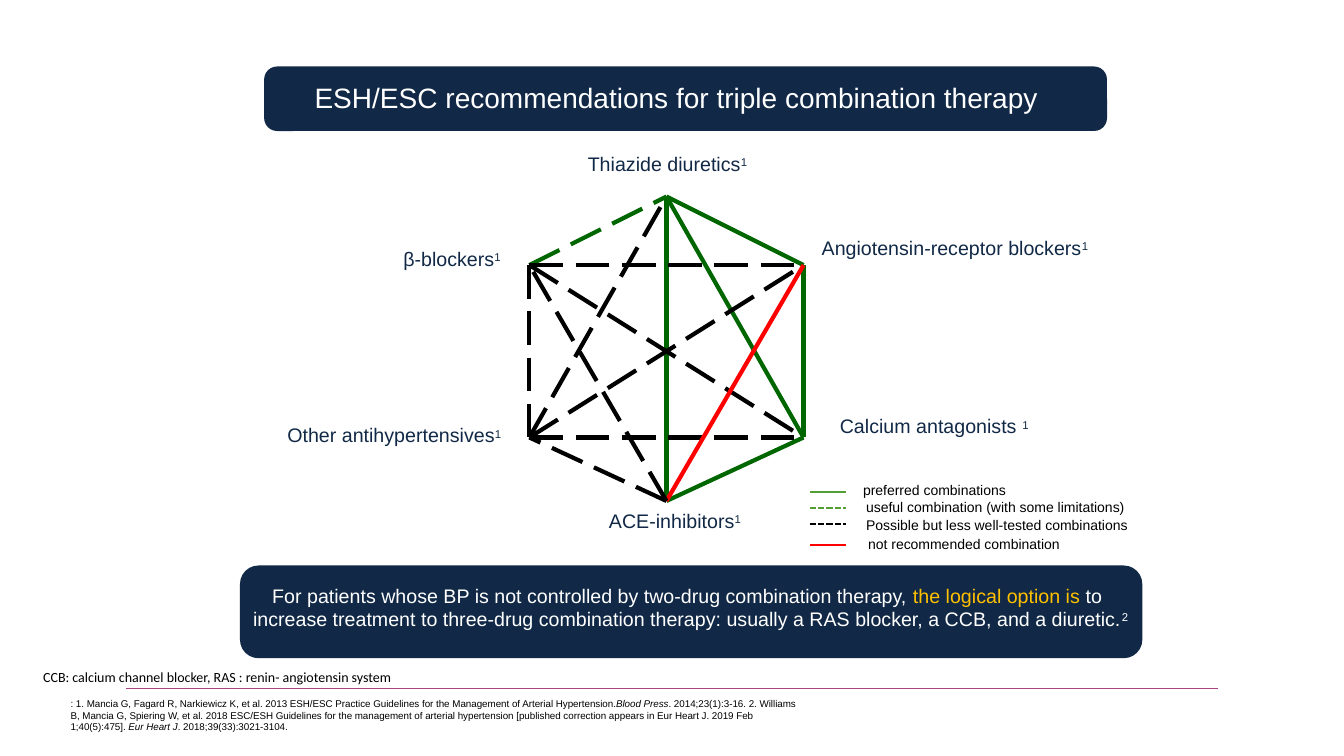
from lxml.etree import SubElement
from pptx import Presentation
from pptx.dml.color import RGBColor
from pptx.enum.dml import MSO_LINE
from pptx.enum.shapes import MSO_CONNECTOR, MSO_SHAPE
from pptx.enum.text import MSO_ANCHOR, MSO_AUTO_SIZE, PP_ALIGN
from pptx.oxml.ns import qn
from pptx.util import Inches, Pt

NAVY = RGBColor(0x11, 0x29, 0x46)
WHITE = RGBColor(0xFF, 0xFF, 0xFF)
BLACK = RGBColor(0x00, 0x00, 0x00)
AMBER = RGBColor(0xFF, 0xC0, 0x00)
GREEN = RGBColor(0x00, 0x66, 0x00)
LEGEND_GREEN = RGBColor(0x54, 0x9E, 0x38)
RED = RGBColor(0xFF, 0x00, 0x00)
MAGENTA = RGBColor(0xA9, 0x45, 0x83)
SUPERSCRIPT = {"baseline": 25000}
ITALIC = {"italic": True}


class TherapySlide:
    """Holds the text style and the current slide, and draws each kind of element."""

    def __init__(self, presentation):
        self.style = {"name": "Arial", "size": Pt(14), "color": NAVY}
        self.slide = presentation.slides.add_slide(presentation.slide_layouts[5])
        self.shapes = self.slide.shapes

    def panel(self, left, top, width, height):
        shape = self.shapes.add_shape(MSO_SHAPE.ROUNDED_RECTANGLE, Inches(left),
                                      Inches(top), Inches(width), Inches(height))
        shape.adjustments[0] = 0.2
        shape.shadow.inherit = False
        shape.fill.solid()
        shape.fill.fore_color.rgb = NAVY
        shape.line.fill.background()

    def line(self, start, end, color, width, dash=None):
        connector = self.shapes.add_connector(
            MSO_CONNECTOR.STRAIGHT, *[Inches(value) for value in (*start, *end)])
        connector.line.color.rgb = color
        connector.line.width = Pt(width)
        if dash:
            connector.line.dash_style = dash
        SubElement(connector._element.spPr, qn("a:effectLst"))

    def format_run(self, run, formats):
        for name, value in {**self.style, **formats}.items():
            if name == "color":
                run.font.color.rgb = value
            elif name == "baseline":
                run._r.get_or_add_rPr().set("baseline", str(value))
            else:
                setattr(run.font, name, value)

    def fill_text(self, shape, box, paragraphs, margins=(0, 0.01, 0, 0), **formats):
        frame = shape.text_frame
        geometry = zip(("left", "top", "width", "height"), box)
        sides = zip(("margin_left", "margin_top", "margin_right", "margin_bottom"), margins)
        for target, pairs in ((shape, geometry), (frame, sides)):
            for name, value in pairs:
                setattr(target, name, Inches(value))
        frame.word_wrap = True
        frame.auto_size = MSO_AUTO_SIZE.NONE
        frame.vertical_anchor = MSO_ANCHOR.TOP
        for index, (layout, runs) in enumerate(paragraphs):
            paragraph = frame.add_paragraph() if index else frame.paragraphs[0]
            values = {"alignment": PP_ALIGN.LEFT, "line_spacing": 1.0,
                      "space_before": Pt(0), **layout}
            margin, indent = values.pop("indents", (0, 0))
            properties = paragraph._p.get_or_add_pPr()
            properties.set("marL", str(Inches(margin)))
            properties.set("indent", str(Inches(indent)))
            for name, value in values.items():
                setattr(paragraph, name, value)
            for text, run_formats in runs:
                run = paragraph.add_run()
                run.text = text
                self.format_run(run, {**formats, **run_formats})

    def text(self, box, paragraphs, **options):
        shape = self.shapes.add_textbox(*[Inches(value) for value in box])
        self.fill_text(shape, box, paragraphs, **options)

    def title(self, box, text):
        shape = self.shapes.title
        self.shapes._spTree.append(shape._element)
        self.fill_text(shape, box, [({"indents": (0.01, 0)}, [(text, {})])],
                       size=Pt(20), color=WHITE)


def draw_hexagon(page):
    thiazide, angiotensin, calcium = (6.61, 1.95), (7.97, 2.63), (7.97, 4.34)
    ace, other, beta = (6.61, 4.97), (5.25, 4.34), (5.25, 2.63)
    dash = MSO_LINE.LONG_DASH
    links = [
        (GREEN, dash, [(beta, thiazide)]),
        (BLACK, dash, [(beta, other), (ace, other)]),
        (GREEN, None, [(angiotensin, thiazide), (angiotensin, calcium), (ace, calcium),
                       (thiazide, ace), (thiazide, calcium)]),
        (BLACK, dash, [(beta, calcium), (other, calcium)]),
        (RED, None, [(ace, angiotensin)]),
        (BLACK, dash, [(ace, beta), (beta, angiotensin), (other, angiotensin),
                       (other, thiazide)]),
    ]
    for color, style, pairs in links:
        for start, end in pairs:
            page.line(start, end, color, 3, style)

    center = PP_ALIGN.CENTER
    labels = [
        ("Thiazide diuretics", (5.25, 1.42, 2.56, 0.33), 0.09, 0.18, center),
        ("ACE-inhibitors", (5.71, 5.04, 1.93, 0.25), 0.01, 0.04, center),
        ("β-blockers", (3.67, 2.44, 1.94, 0.25), 0.01, 0.33, PP_ALIGN.LEFT),
        ("Other antihypertensives", (2.01, 4.13, 3.77, 0.31), 0.07, 0.84, PP_ALIGN.LEFT),
        ("Calcium antagonists ", (7.85, 4.04, 2.63, 0.31), 0.07, 0.48, PP_ALIGN.LEFT),
        ("Angiotensin-receptor blockers", (8.02, 2.29, 3.3, 0.29), 0.05, 0.13, PP_ALIGN.LEFT),
    ]
    for name, box, top, margin, alignment in labels:
        layout = {"alignment": alignment, "indents": (margin, 0)}
        page.text(box, [(layout, [(name, {}), ("1", SUPERSCRIPT)])],
                  margins=(0, top, 0, 0))


def draw_legend(page):
    dash = MSO_LINE.SQUARE_DOT
    entries = [
        ("preferred combinations", 4.88, LEGEND_GREEN, None, 0.01, Pt(12.3), 0),
        ("useful combination (with some limitations)", 5.04, LEGEND_GREEN, dash,
         0.04, Pt(12.6), 0.1),
        ("Possible but less well-tested combinations", 5.2, BLACK, dash, 0.04, Pt(12.6), 0),
        ("not recommended combination", 5.41, RED, None, 0.06, 1.0, 1.1),
    ]
    paragraphs = []
    for text, top, color, style, margin, spacing, before in entries:
        page.line((8.03, top), (8.39, top), color, 1.5, style)
        layout = {"indents": (margin, 0), "line_spacing": spacing, "space_before": Pt(before)}
        paragraphs.append((layout, [(text, {})]))
    page.text((8.55, 4.76, 2.79, 0.74), paragraphs, size=Pt(10), color=BLACK)


def main():
    presentation = Presentation()
    presentation.slide_width = Inches(13.33)
    presentation.slide_height = Inches(7.5)
    page = TherapySlide(presentation)

    page.panel(2.62, 0.66, 8.36, 0.64)
    page.title((3.11, 0.79, 7.37, 0.35),
               "ESH/ESC recommendations for triple combination therapy")
    draw_hexagon(page)
    draw_legend(page)

    page.panel(2.38, 5.61, 8.95, 0.92)
    page.text((2.5, 5.78, 8.71, 0.73), [({"indents": (0.01, 0.19)}, [
        ("For patients whose BP is not controlled by two-drug combination therapy, ", {}),
        ("the logical option is ", {"color": AMBER}),
        ("to increase treatment to three-drug combination therapy: "
         "usually a RAS blocker, a CCB, and a diuretic.", {}),
        ("2", SUPERSCRIPT)])], color=WHITE)

    page.line((1.25, 6.83), (12.08, 6.83), MAGENTA, 0.75)
    page.text((0.33, 6.58, 6.67, 0.27), [({}, [
        ("CCB: calcium channel blocker, RAS : renin- angiotensin system", {})])],
        margins=(0.1, 0.05, 0.1, 0.05), name="Calibri", size=Pt(10), color=BLACK)
    page.text((0.69, 6.91, 7.26, 0.38), [({"indents": (0.01, 0)}, [
        (": 1. Mancia G, Fagard R, Narkiewicz K, et al. 2013 ESH/ESC Practice Guidelines "
         "for the Management of Arterial Hypertension.", {}),
        ("Blood Press", ITALIC),
        (". 2014;23(1):3-16. 2. Williams B, Mancia G, Spiering W, et al. 2018 ESC/ESH "
         "Guidelines for the management of arterial hypertension [published correction "
         "appears in Eur Heart J. 2019 Feb 1;40(5):475]. ", {}),
        ("Eur Heart J", ITALIC),
        (". 2018;39(33):3021-3104.", {})])], size=Pt(7), color=BLACK)

    presentation.save("out.pptx")


if __name__ == "__main__":
    main()
